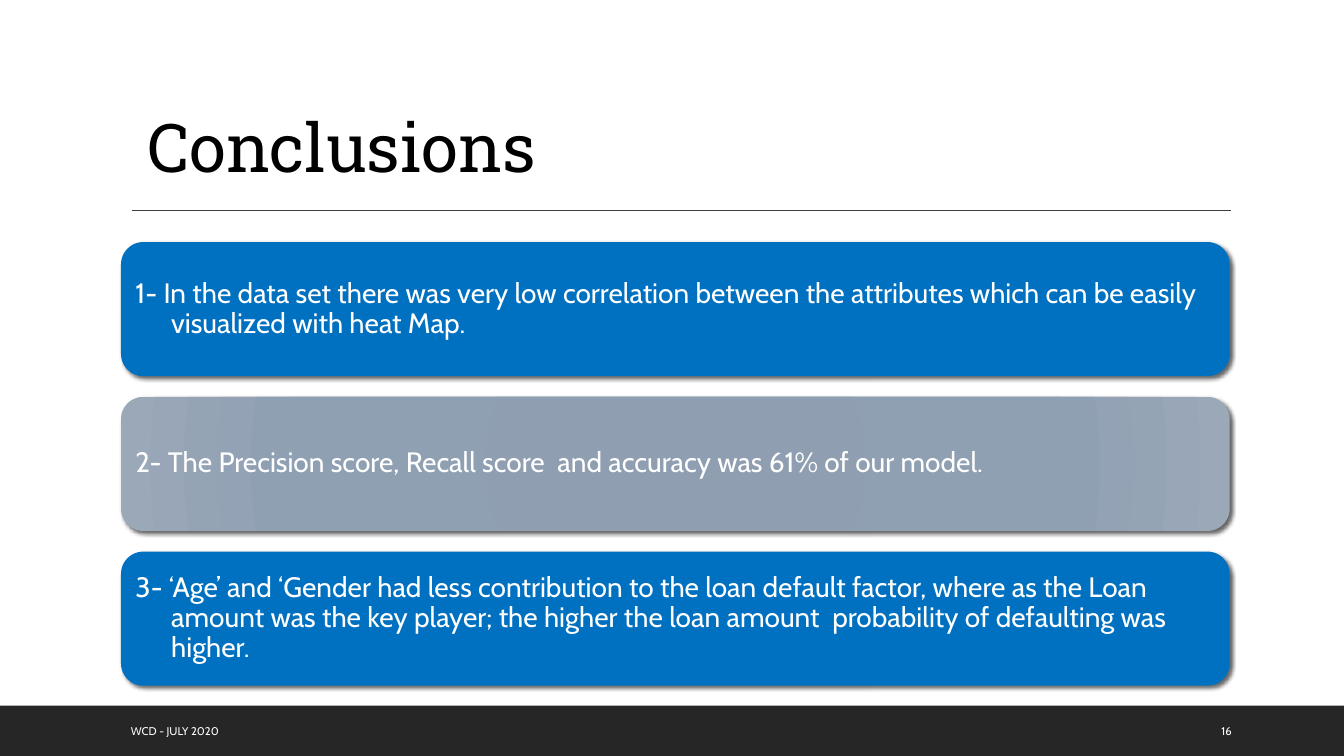
from lxml.etree import SubElement
from pptx import Presentation
from pptx.dml.color import RGBColor
from pptx.enum.shapes import MSO_CONNECTOR, MSO_SHAPE
from pptx.enum.text import MSO_ANCHOR, MSO_AUTO_SIZE, PP_ALIGN
from pptx.oxml import parse_xml
from pptx.oxml.ns import nsdecls, qn
from pptx.util import Cm, Pt

INK = {"white": "FFFFFF", "black": "000000", "blue": "0070C0",
       "bar": "262626", "rule": "404040"}
FADE = [(0, "8D9CAE"), (34, "8F9EB0"), (70, "90A0B3"), (100, "9AA8B8")]
LEFT, WIDE = 3.05, 27.94
TOP, STEP, HIGH = 6.1, 3.9, 3.38
POINTS = [
    "1- In the data set there was very low correlation between the "
    "attributes which can be easily visualized with heat Map.",
    "2- The Precision score, Recall score  and accuracy was 61% of our model.",
    "3- ‘Age’ and ‘Gender had less contribution to the loan default factor, "
    "where as the Loan amount was the key player; the higher the loan amount  "
    "probability of defaulting was higher.",
]


def color(name):
    """Return the named colour."""
    return RGBColor.from_string(INK[name])


def write(frame, text, size, font="Cabin", ink="white",
          anchor=MSO_ANCHOR.MIDDLE):
    """Put one left-aligned run in a frame and return its paragraph."""
    frame.word_wrap = True
    frame.auto_size = MSO_AUTO_SIZE.NONE
    frame.vertical_anchor = anchor
    para = frame.paragraphs[0]
    para.alignment = PP_ALIGN.LEFT
    run = para.add_run()
    run.text = text
    run.font.size = Pt(size)
    run.font.name = font
    run.font.color.rgb = color(ink)
    return para


def add_block(slide, kind, left, top, wide, high, ink):
    """Add a plain filled shape without outline or shadow."""
    block = slide.shapes.add_shape(kind, Cm(left), Cm(top), Cm(wide), Cm(high))
    block.fill.solid()
    block.fill.fore_color.rgb = color(ink)
    block.line.fill.background()
    block.shadow.inherit = False
    return block


def add_shade(shape):
    """Give a shape a soft shadow to the lower right."""
    effects = shape._element.spPr.find(qn("a:effectLst"))
    shade = SubElement(effects, qn("a:outerShdw"), blurRad=str(Pt(3)),
                       dist=str(Pt(2)), dir="2700000", rotWithShape="0")
    tone = SubElement(shade, qn("a:srgbClr"), val=INK["black"])
    SubElement(tone, qn("a:alpha"), val="60000")


def add_fade(shape):
    """Replace a solid fill by a radial gradient."""
    stops = "".join(f'<a:gs pos="{pos * 1000}"><a:srgbClr val="{tone}"/></a:gs>'
                    for pos, tone in FADE)
    fade = parse_xml(
        f'<a:gradFill {nsdecls("a")} rotWithShape="1"><a:gsLst>{stops}</a:gsLst>'
        '<a:path path="circle"><a:fillToRect l="100000" t="100000" '
        'r="100000" b="100000"/></a:path></a:gradFill>')
    props = shape._element.spPr
    props.replace(props.find(qn("a:solidFill")), fade)


def add_card(slide, row, text):
    """Add one rounded card holding a numbered conclusion."""
    card = add_block(slide, MSO_SHAPE.ROUNDED_RECTANGLE, LEFT,
                     TOP + row * STEP, WIDE, HIGH, "blue")
    add_shade(card)
    if row % 2:
        add_fade(card)
    frame = card.text_frame
    frame.margin_left = frame.margin_right = Cm(0.2)
    frame.margin_top = frame.margin_bottom = Cm(0.2)
    para = write(frame, text, 20)
    para.line_spacing = 0.9
    props = para._p.get_or_add_pPr()
    props.set("marL", str(Cm(0.9)))
    props.set("indent", str(-Cm(0.9)))


def add_title(slide, text):
    """Fill and place the title."""
    title = slide.shapes.title
    title.left, title.top = Cm(LEFT), Cm(0.79)
    title.width, title.height = Cm(WIDE), Cm(4.04)
    title.text_frame.margin_left = Cm(0.66)
    para = write(title.text_frame, text, 48, "Roboto Slab", "black",
                 MSO_ANCHOR.BOTTOM)
    para.line_spacing = 0.9


def add_rule(slide):
    """Draw the thin line under the title."""
    rule = slide.shapes.add_connector(MSO_CONNECTOR.STRAIGHT, Cm(3.33),
                                      Cm(5.31), Cm(31.01), Cm(5.31))
    rule.line.color.rgb = color("rule")
    rule.line.width = Pt(1)
    SubElement(rule._element.spPr, qn("a:effectLst"))


def add_note(slide, left, wide, text):
    """Add a small text on the bottom bar."""
    box = slide.shapes.add_textbox(Cm(left), Cm(17.91), Cm(wide), Cm(1.01))
    write(box.text_frame, text, 8)


def main():
    """Build the slide and save it."""
    deck = Presentation()
    deck.slide_width, deck.slide_height = Cm(33.87), Cm(19.05)
    slide = deck.slides.add_slide(deck.slide_layouts[5])
    slide.background.fill.solid()
    slide.background.fill.fore_color.rgb = color("white")
    add_title(slide, "Conclusions")
    add_rule(slide)
    add_block(slide, MSO_SHAPE.RECTANGLE, 0, 17.78, 33.87, 1.27, "bar")
    for row, text in enumerate(POINTS):
        add_card(slide, row, text)
    add_note(slide, LEFT, 18.95, "WCD - JULY 2020")
    add_note(slide, 30.53, 2.16, "16")
    deck.save("out.pptx")


if __name__ == "__main__":
    main()
